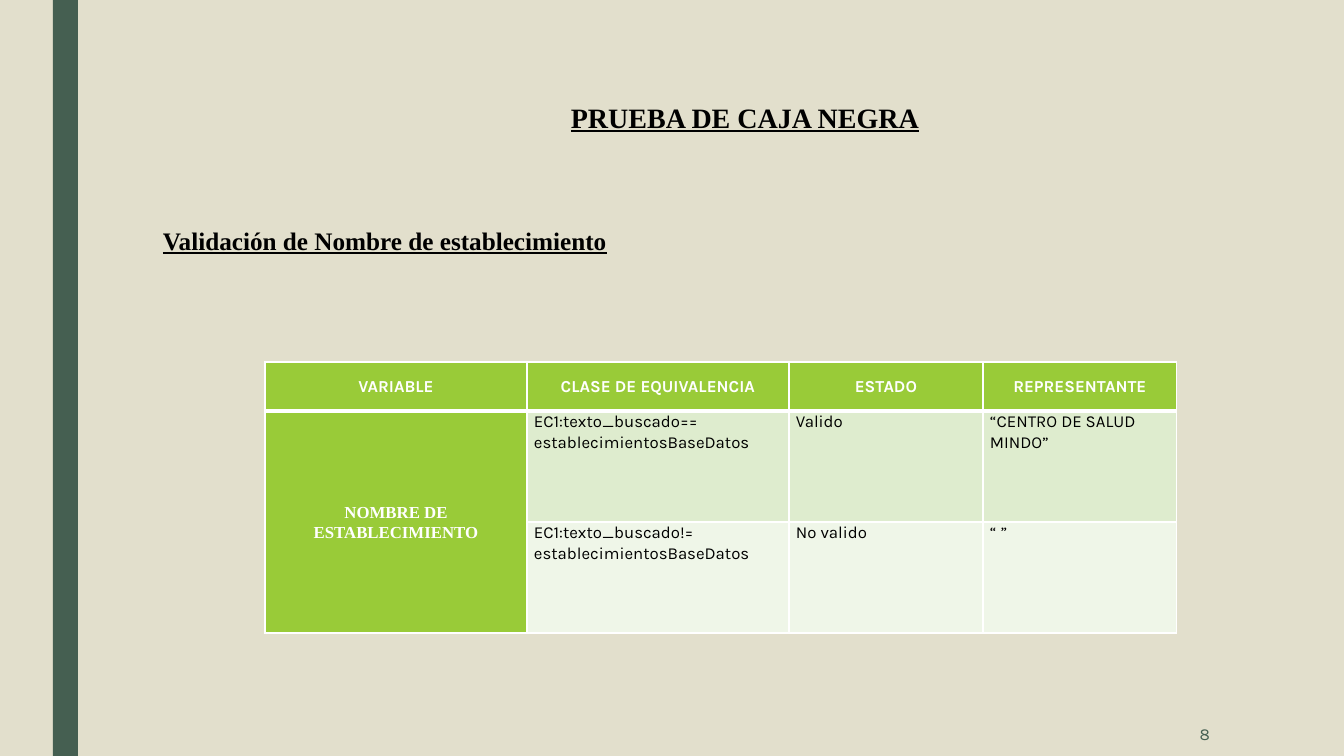
from dataclasses import dataclass

from lxml import etree
from pptx import Presentation
from pptx import util as u
from pptx.dml.color import RGBColor
from pptx.enum import shapes, text
from pptx.oxml.ns import qn

EMU_PER_PX = 914400 / 100.8


@dataclass(frozen=True)
class Theme:
    background: str = "E2DFCC"
    dark: str = "455F51"
    accent: str = "99CB38"
    bands: tuple[str, str] = ("DEECCE", "EFF6E8")
    ink: str = "000000"
    white: str = "FFFFFF"
    serif: str = "Times New Roman"
    sans: str = "Karla"
    title_size: int = 20
    heading_size: int = 18
    small_size: int = 12


@dataclass(frozen=True)
class Box:
    left: int
    top: int
    width: int
    height: int


@dataclass(frozen=True)
class TextStyle:
    font: str
    size: int
    color: str
    bold: bool = False
    underline: bool = False
    align: text.PP_ALIGN = text.PP_ALIGN.LEFT
    spaced: bool = False


@dataclass(frozen=True)
class Cell:
    row: int
    col: int
    words: str
    style: TextStyle
    fill: str
    anchor: text.MSO_ANCHOR = text.MSO_ANCHOR.TOP


THEME = Theme()
CENTER, MIDDLE = text.PP_ALIGN.CENTER, text.MSO_ANCHOR.MIDDLE
TITLE = TextStyle(THEME.serif, THEME.title_size, THEME.ink, True, True, CENTER)
HEADING = TextStyle(THEME.serif, THEME.heading_size, THEME.ink, True, True, spaced=True)
HEADER = TextStyle(THEME.sans, THEME.small_size, THEME.white, True, align=CENTER, spaced=True)
VARIABLE = TextStyle(THEME.serif, THEME.small_size, THEME.white, True, align=CENTER, spaced=True)
BODY = TextStyle(THEME.sans, THEME.small_size, THEME.ink, spaced=True)
NUMBER = TextStyle(THEME.sans, THEME.small_size, THEME.dark, align=text.PP_ALIGN.RIGHT)

COLUMNS = (262, 262, 194, 194)
ROWS = (49, 111, 111)
HEADERS = ("VARIABLE", "CLASE DE EQUIVALENCIA", "ESTADO", "REPRESENTANTE")
CASES = (
    ("EC1:texto_buscado== establecimientosBaseDatos", "Valido", "“CENTRO DE SALUD MINDO”"),
    ("EC1:texto_buscado!= establecimientosBaseDatos", "No valido", "“ ”"),
)


def px(n: int) -> int:
    return u.Emu(round(n * EMU_PER_PX))


def place(sp, box: Box) -> None:
    sp.left, sp.top = px(box.left), px(box.top)
    sp.width, sp.height = px(box.width), px(box.height)


def write(tf, words: str, style: TextStyle) -> None:
    p = tf.paragraphs[0]
    p.alignment = style.align
    if style.spaced:
        p.line_spacing, p.space_after = 1.07, u.Pt(8)
    r = p.add_run()
    r.text = words
    r.font.name, r.font.size = style.font, u.Pt(style.size)
    r.font.bold, r.font.underline = style.bold, style.underline
    r.font.color.rgb = RGBColor.from_string(style.color)


def fill_text_frame(sp, box: Box, words: str, style: TextStyle,
                    anchor: text.MSO_ANCHOR = text.MSO_ANCHOR.TOP, wrap: bool = False) -> None:
    place(sp, box)
    tf = sp.text_frame
    tf.auto_size = text.MSO_AUTO_SIZE.NONE
    tf.word_wrap, tf.vertical_anchor = wrap, anchor
    write(tf, words, style)


def set_borders(cell, top: int, bottom: int) -> None:
    """Draw white borders; top and bottom are widths in points."""
    tc_pr = cell._tc.get_or_add_tcPr()
    widths = {"a:lnL": 1, "a:lnR": 1, "a:lnT": top, "a:lnB": bottom}
    for i, (tag, width) in enumerate(widths.items()):
        ln = etree.Element(qn(tag), w=str(u.Pt(width)))
        solid = etree.SubElement(ln, qn("a:solidFill"))
        etree.SubElement(solid, qn("a:srgbClr"), val=THEME.white)
        tc_pr.insert(i, ln)


def draw_cell(table, spec_cell: Cell) -> None:
    cell = table.cell(spec_cell.row, spec_cell.col)
    cell.margin_left = cell.margin_right = px(7)
    cell.margin_top = cell.margin_bottom = 0
    cell.vertical_anchor = spec_cell.anchor
    cell.fill.solid()
    cell.fill.fore_color.rgb = RGBColor.from_string(spec_cell.fill)
    write(cell.text_frame, spec_cell.words, spec_cell.style)


def draw_equivalence_table(s) -> None:
    frame = s.shapes.add_table(len(ROWS), len(COLUMNS), px(265), px(362),
                               px(sum(COLUMNS)), px(sum(ROWS)))
    table = frame.table
    for column, width in zip(table.columns, COLUMNS):
        column.width = px(width)
    for row, height in zip(table.rows, ROWS):
        row.height = px(height)
    table.cell(1, 0).merge(table.cell(2, 0))

    cells = [Cell(0, c, words, HEADER, THEME.accent, MIDDLE) for c, words in enumerate(HEADERS)]
    cells.append(Cell(1, 0, "NOMBRE DE ESTABLECIMIENTO", VARIABLE, THEME.accent, MIDDLE))
    for r, (case, band) in enumerate(zip(CASES, THEME.bands), start=1):
        cells += [Cell(r, c, words, BODY, band) for c, words in enumerate(case, start=1)]
    for cell in cells:
        draw_cell(table, cell)
    for r in range(len(ROWS)):
        for c in range(len(COLUMNS)):
            set_borders(table.cell(r, c), top=3 if r == 1 else 1, bottom=3 if r == 0 else 1)


def draw_side_bar(s) -> None:
    sp = s.shapes.add_shape(shapes.MSO_SHAPE.RECTANGLE, 0, 0, 0, 0)
    place(sp, Box(53, 0, 25, 756))
    sp.shadow.inherit = False
    sp.fill.solid()
    sp.fill.fore_color.rgb = RGBColor.from_string(THEME.dark)
    sp.line.fill.background()


def main() -> None:
    prs = Presentation()
    prs.slide_width, prs.slide_height = px(1344), px(756)
    s = prs.slides.add_slide(prs.slide_layouts.get_by_name("Title Only"))
    s.background.fill.solid()
    s.background.fill.fore_color.rgb = RGBColor.from_string(THEME.background)

    draw_side_bar(s)
    fill_text_frame(s.shapes.title, Box(559, 95, 372, 44), "PRUEBA DE CAJA NEGRA", TITLE)
    fill_text_frame(s.shapes.add_textbox(0, 0, 0, 0), Box(153, 218, 469, 41),
                    "Validación de Nombre de establecimiento", HEADING)
    draw_equivalence_table(s)
    fill_text_frame(s.shapes.add_textbox(0, 0, 0, 0), Box(1044, 712, 176, 44),
                    "8", NUMBER, MIDDLE, wrap=True)
    prs.save("out.pptx")


if __name__ == "__main__":
    main()
